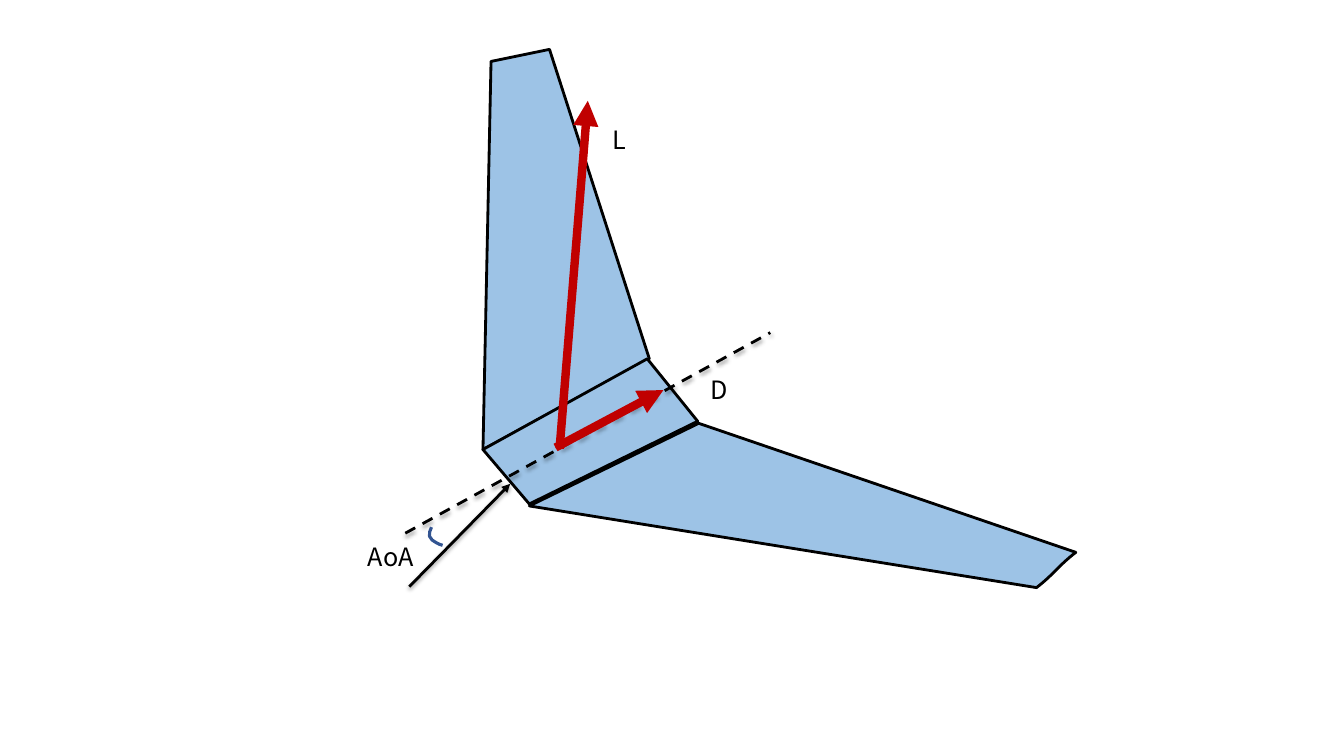
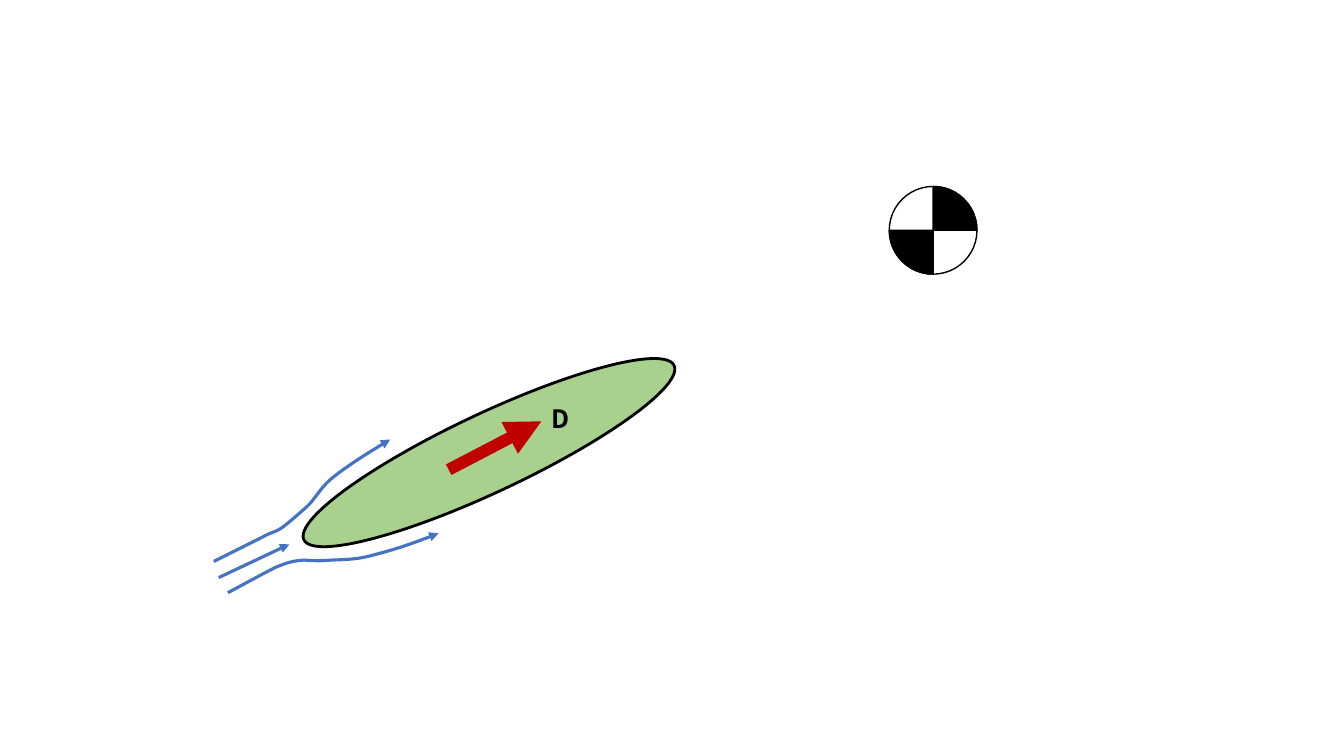
from dataclasses import dataclass
from typing import Optional

from lxml.etree import SubElement
from pptx import Presentation
from pptx.dml.color import RGBColor
from pptx.enum.dml import MSO_LINE_DASH_STYLE as Dash
from pptx.enum.shapes import MSO_CONNECTOR_TYPE as Connector, MSO_SHAPE as Preset
from pptx.enum.text import MSO_AUTO_SIZE as AutoSize
from pptx.oxml.ns import qn
from pptx.shapes.autoshape import Shape
from pptx.shapes.shapetree import GroupShapes
from pptx.util import Inches, Pt

Point = tuple[float, float]


# Theme
@dataclass(frozen=True)
class Theme:
    black: str = "000000"
    white: str = "FFFFFF"
    wing: str = "9DC3E6"
    airfoil: str = "A9D18E"
    force: str = "C00000"
    flow: str = "4472C4"
    angle: str = "325491"
    font: str = "Noto Sans CJK JP"
    label_size: float = 18
    outline: float = 2
    flow_width: float = 2.25
    marker_width: float = 1


THEME = Theme()


# Parts of a drawing
@dataclass(frozen=True)
class Line:
    start: Point
    end: Point
    color: str = THEME.black
    width: float = THEME.outline
    arrow: bool = True
    dashed: bool = False
    shadow: bool = False


@dataclass(frozen=True)
class Outline:
    """Each step holds one point for a straight edge, three for a Bezier curve."""
    start: Point
    steps: tuple[tuple[Point, ...], ...]
    fill: Optional[str] = None
    color: str = THEME.black
    width: float = THEME.outline
    arrow: bool = False


@dataclass(frozen=True)
class Label:
    text: str
    left: float
    top: float
    width: float
    height: float = 0.4
    bold: bool = False


@dataclass(frozen=True)
class Round:
    left: float
    top: float
    width: float
    height: float
    fill: str
    preset: Preset = Preset.OVAL
    rotation: float = 0
    line_width: float = THEME.outline


# Drawing functions
def set_line(shape, color: str, width: float, arrow: bool = False) -> None:
    shape.line.color.rgb = RGBColor.from_string(color)
    shape.line.width = Pt(width)
    if arrow:
        SubElement(shape.element.spPr.find(qn("a:ln")), qn("a:tailEnd"), type="triangle")


def draw_line(shapes: GroupShapes, line: Line) -> None:
    ends = [Inches(value) for value in line.start + line.end]
    connector = shapes.add_connector(Connector.STRAIGHT, *ends)
    connector.line.dash_style = Dash.DASH if line.dashed else Dash.SOLID
    set_line(connector, line.color, line.width, line.arrow)
    effects = SubElement(connector.element.spPr, qn("a:effectLst"))
    if line.shadow:
        shadow = SubElement(effects, qn("a:outerShdw"), blurRad=str(Pt(3.1)),
                            dist=str(Pt(1.6)), dir="5400000", rotWithShape="0")
        color = SubElement(shadow, qn("a:srgbClr"), val=THEME.black)
        SubElement(color, qn("a:alpha"), val="38000")


def draw_outline(shapes: GroupShapes, outline: Outline) -> None:
    points = [(Inches(x), Inches(y)) for step in outline.steps for x, y in step]
    builder = shapes.build_freeform(*(Inches(value) for value in outline.start))
    builder.add_line_segments(points, close=outline.fill is not None)
    shape = builder.convert_to_shape()

    # Join the edges of each curved step into one Bezier segment
    outline_path = next(shape.element.iter(qn("a:path")))
    edges = iter(outline_path.findall(qn("a:lnTo")))
    for step in outline.steps:
        first, *others = [next(edges) for _ in step]
        if others:
            first.tag = qn("a:cubicBezTo")
        for edge in others:
            first.append(edge[0])
            outline_path.remove(edge)

    finish_shape(shape, outline.fill)
    set_line(shape, outline.color, outline.width, outline.arrow)


def finish_shape(shape: Shape, fill: Optional[str]) -> None:
    shape.shadow.inherit = False
    if fill is None:
        shape.fill.background()
    else:
        shape.fill.solid()
        shape.fill.fore_color.rgb = RGBColor.from_string(fill)


def draw_label(shapes: GroupShapes, label: Label) -> None:
    box = shapes.add_textbox(Inches(label.left), Inches(label.top),
                             Inches(label.width), Inches(label.height))
    frame = box.text_frame
    frame.word_wrap = True
    frame.auto_size = AutoSize.SHAPE_TO_FIT_TEXT
    para = frame.paragraphs[0]
    para.text = label.text
    para.font.name = THEME.font
    para.font.size = Pt(THEME.label_size)
    para.font.bold = label.bold
    para.font.color.rgb = RGBColor.from_string(THEME.black)


def draw_round(shapes: GroupShapes, part: Round) -> Shape:
    shape = shapes.add_shape(part.preset, Inches(part.left), Inches(part.top),
                             Inches(part.width), Inches(part.height))
    shape.rotation = part.rotation
    finish_shape(shape, part.fill)
    set_line(shape, THEME.black, part.line_width)
    return shape


def draw_mass_center(shapes: GroupShapes, left: float, top: float, size: float) -> None:
    disc = Round(left, top, size, size, THEME.white, line_width=THEME.marker_width)
    draw_round(shapes, disc)
    for rotation in (0, 180):
        quarter = Round(left, top, size, size, THEME.black, Preset.PIE,
                        rotation, THEME.marker_width)
        pie = draw_round(shapes, quarter)
        # Pie angles are in 60000ths of a degree, adjustments in 100000ths
        pie.adjustments[0] = 270 * 0.6
        pie.adjustments[1] = 0


DRAW = {Line: draw_line, Outline: draw_outline, Label: draw_label, Round: draw_round}


def draw_all(shapes: GroupShapes, parts: tuple) -> None:
    for part in parts:
        DRAW[type(part)](shapes, part)


# Slide 1: forces on the wing
WING_FORCES = (
    Outline((4.87, 0.61), (((5.45, 0.49),), ((6.44, 3.56),), ((4.79, 4.46),)), THEME.wing),
    Outline((6.93, 4.2),
            (((10.67, 5.48),), ((10.5, 5.61), (10.45, 5.7), (10.28, 5.83)), ((5.25, 5.02),)),
            THEME.wing),
    Line((4.06, 5.82), (5.06, 4.8), shadow=True),
    Outline((4.79, 4.46), (((6.42, 3.56),), ((6.92, 4.18),), ((5.25, 5),)), THEME.wing),
    Line((4.02, 5.29), (7.64, 3.3), arrow=False, dashed=True, shadow=True),
    Label("AoA", 3.55, 5.32, 0.7, 0.33),
    Outline((4.28, 5.23),
            (((4.27, 5.26), (4.25, 5.29), (4.26, 5.32)),
             ((4.27, 5.35), (4.3, 5.37), (4.32, 5.38)),
             ((4.34, 5.4), (4.37, 5.4), (4.39, 5.41))),
            color=THEME.angle, width=THEME.flow_width),
    Line((5.55, 4.45), (5.83, 1), THEME.force, 6),
    Line((5.51, 4.44), (6.58, 3.87), THEME.force, 6),
    Label("L", 5.98, 1.18, 0.61),
    Label("D", 6.95, 3.66, 0.66),
)

# Slide 2: air flow around the section
SECTION_FLOW = (
    Round(2.82, 4.1, 4.06, 0.78, THEME.airfoil, rotation=334.8),
    Line((4.45, 4.66), (5.37, 4.18), THEME.force, 8.5),
    Label("D", 5.37, 3.95, 0.66, bold=True),
    Line((2.17, 5.73), (2.87, 5.4), THEME.flow, THEME.flow_width),
    Outline((2.12, 5.57),
            (((2.6, 5.33),),
             ((2.71, 5.27), (2.71, 5.29), (2.79, 5.24)),
             ((2.86, 5.19), (2.95, 5.11), (3.04, 5.03)),
             ((3.13, 4.95), (3.17, 4.84), (3.31, 4.73)),
             ((3.45, 4.62), (3.67, 4.48), (3.87, 4.36))),
            color=THEME.flow, width=THEME.flow_width, arrow=True),
    Outline((2.26, 5.88),
            (((2.41, 5.8), (2.61, 5.69), (2.73, 5.63)),
             ((2.85, 5.58), (2.89, 5.57), (2.97, 5.56)),
             ((3.05, 5.55), (3.1, 5.57), (3.23, 5.56)),
             ((3.35, 5.55), (3.51, 5.56), (3.69, 5.51)),
             ((3.88, 5.46), (4.05, 5.41), (4.35, 5.29))),
            color=THEME.flow, width=THEME.flow_width, arrow=True),
)

# Build the deck
deck = Presentation()
deck.slide_width, deck.slide_height = Inches(13.33), Inches(7.5)
blank = deck.slide_layouts[6]

wing_page = deck.slides.add_slide(blank)
draw_all(wing_page.shapes.add_group_shape().shapes, WING_FORCES)

flow_page = deck.slides.add_slide(blank)
draw_all(flow_page.shapes.add_group_shape().shapes, SECTION_FLOW)
draw_mass_center(flow_page.shapes.add_group_shape().shapes, 8.82, 1.85, 0.87)

deck.save("out.pptx")
